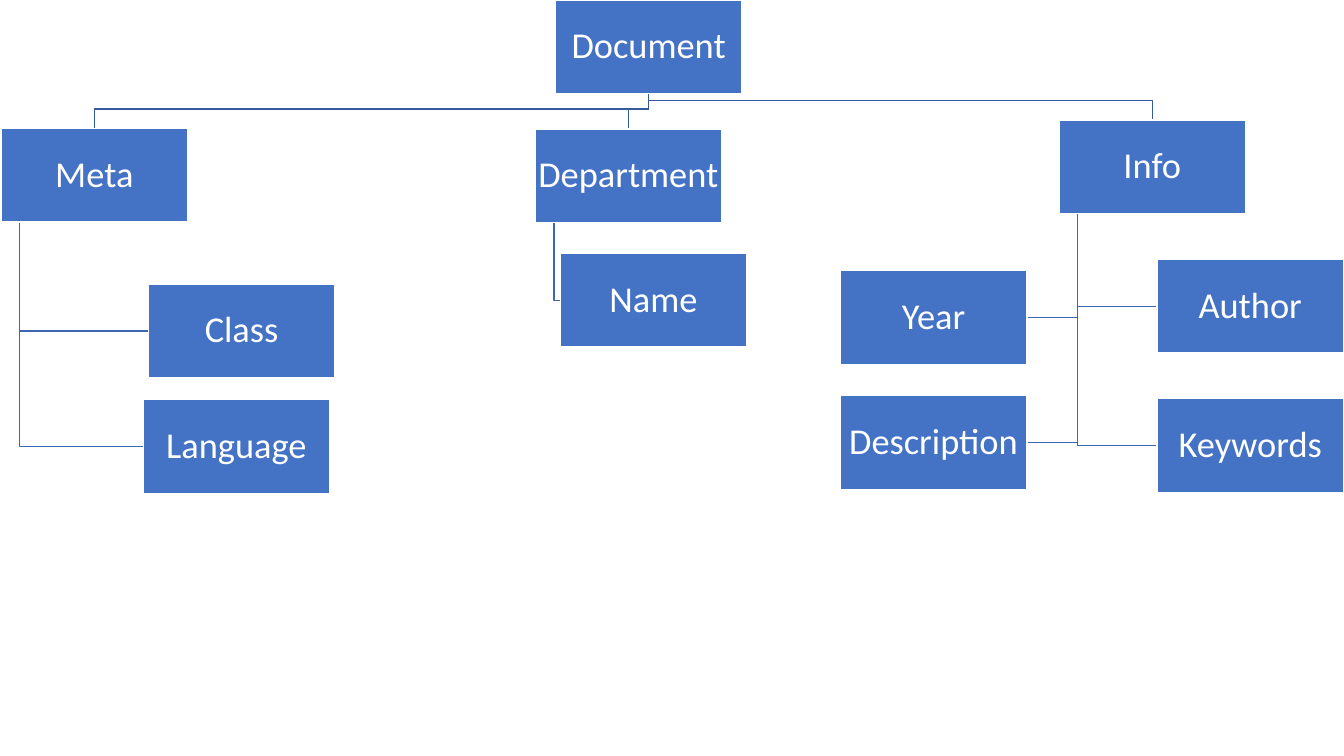
"""Build a tree diagram of the parts of a document."""
from dataclasses import dataclass

from pptx import Presentation
from pptx.dml.color import RGBColor
from pptx.enum.shapes import MSO_SHAPE
from pptx.enum.text import MSO_ANCHOR, PP_ALIGN
from pptx.util import Cm, Pt

RECT = MSO_SHAPE.RECTANGLE
MIDDLE = MSO_ANCHOR.MIDDLE
CENTER = PP_ALIGN.CENTER

BOX_W, BOX_H = 4.7, 2.36
TRUNK_INSET = 0.47
ELBOW_GAP = 0.49
BOX_FILL, WHITE = "4472C4", "FFFFFF"
ROOT_LINE, LEAF_LINE = "365B9D", "3E67B2"


@dataclass(frozen=True)
class Node:
    label: str
    x: float
    y: float
    children: tuple["Node", ...] = ()


TREE = Node("Document", 14, 0, (
    Node("Meta", 0.03, 3.24, (
        Node("Class", 3.74, 7.16),
        Node("Language", 3.61, 10.07),
    )),
    Node("Department", 13.49, 3.25, (
        Node("Name", 14.12, 6.39),
    )),
    Node("Info", 26.69, 3.02, (
        Node("Author", 29.16, 6.54),
        Node("Year", 21.18, 6.82),
        Node("Keywords", 29.16, 10.05),
        Node("Description", 21.18, 9.97),
    )),
))


def rgb(color: str) -> RGBColor:
    return RGBColor.from_string(color)


def add_path(s, points: list[tuple[float, float]], color: str) -> None:
    start, *rest = [(Cm(x), Cm(y)) for x, y in points]
    builder = s.shapes.build_freeform(*start)
    builder.add_line_segments(rest, close=False)
    sp = builder.convert_to_shape()
    sp.shadow.inherit = False
    sp.fill.background()
    sp.line.color.rgb = rgb(color)
    sp.line.width = Pt(1)


def link_branch(s, root: Node, branch: Node) -> None:
    x0, x1 = root.x + BOX_W / 2, branch.x + BOX_W / 2
    elbow = branch.y - ELBOW_GAP
    points = [(x0, root.y + BOX_H), (x0, elbow), (x1, elbow), (x1, branch.y)]
    add_path(s, points, ROOT_LINE)


def link_leaf(s, branch: Node, leaf: Node) -> None:
    trunk, mid = branch.x + TRUNK_INSET, leaf.y + BOX_H / 2
    edge = leaf.x if leaf.x > trunk else leaf.x + BOX_W
    points = [(trunk, branch.y + BOX_H), (trunk, mid), (edge, mid)]
    add_path(s, points, LEAF_LINE)


def set_text(tf, text: str, *, size: float = 26, font: str = "Calibri",
             color: str = WHITE, margin: float = 0.05) -> None:
    tf.margin_left = tf.margin_right = Cm(margin)
    tf.margin_top = tf.margin_bottom = Cm(margin)
    tf.vertical_anchor = MIDDLE
    tf.word_wrap = True
    p = tf.paragraphs[0]
    p.alignment = CENTER
    p.line_spacing = 0.9
    r = p.add_run()
    r.text = text
    r.font.size = Pt(size)
    r.font.name = font
    r.font.color.rgb = rgb(color)


def add_box(s, node: Node) -> None:
    sp = s.shapes.add_shape(RECT, Cm(node.x), Cm(node.y), Cm(BOX_W), Cm(BOX_H))
    sp.shadow.inherit = False
    sp.fill.solid()
    sp.fill.fore_color.rgb = rgb(BOX_FILL)
    sp.line.color.rgb = rgb(WHITE)
    sp.line.width = Pt(1)
    set_text(sp.text_frame, node.label)


def add_boxes(s, node: Node) -> None:
    add_box(s, node)
    for child in node.children:
        add_boxes(s, child)


def main() -> None:
    prs = Presentation()
    prs.slide_width, prs.slide_height = Cm(33.87), Cm(19.05)
    s = prs.slides.add_slide(prs.slide_layouts[6])
    for branch in TREE.children:
        link_branch(s, TREE, branch)
        for leaf in branch.children:
            link_leaf(s, branch, leaf)
    add_boxes(s, TREE)
    prs.save("out.pptx")


if __name__ == "__main__":
    main()
